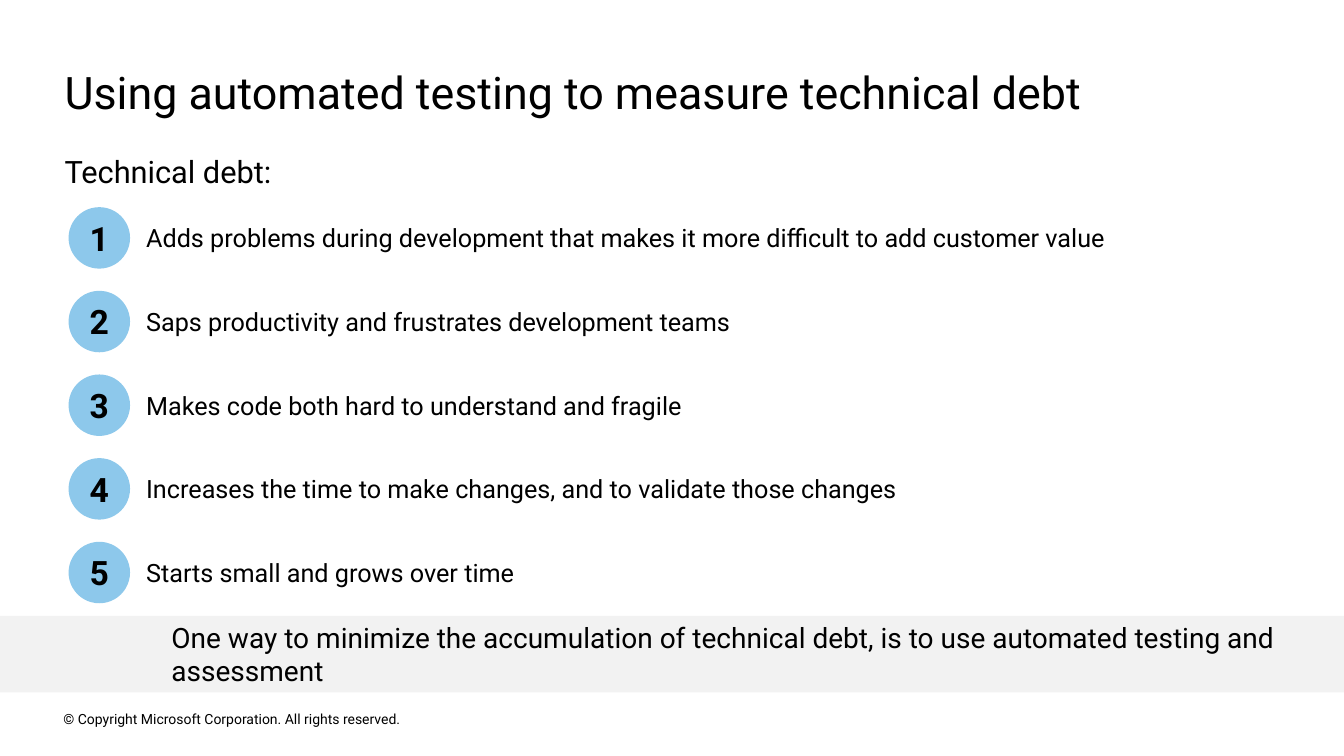
from pptx import Presentation
from pptx.dml.color import RGBColor
from pptx.enum import shapes, text
from pptx.util import Inches, Pt

FONT = "Roboto"
COLORS = {"ink": "000000", "band": "F2F2F2", "badge": "8DC8EB"}
EFFECTS = [
    "Adds problems during development that makes it more difficult to add customer value",
    "Saps productivity and frustrates development teams",
    "Makes code both hard to understand and fragile",
    "Increases the time to make changes, and to validate those changes",
    "Starts small and grows over time",
]
FIRST_ROW_CENTER = 2.36
ROW_STEP = 0.83
BADGE_SIZE = 0.61
LABEL_HEIGHT = 0.3


def set_text(s, content, size, anchor, bold=False, align=text.PP_ALIGN.LEFT):
    tf = s.text_frame
    tf.margin_left = tf.margin_top = tf.margin_right = tf.margin_bottom = 0
    tf.word_wrap = True
    tf.vertical_anchor = anchor
    tf.text = content
    p = tf.paragraphs[0]
    p.alignment = align
    r = p.runs[0]
    r.font.name = FONT
    r.font.size = Pt(size)
    r.font.bold = bold
    r.font.color.rgb = RGBColor.from_string(COLORS["ink"])


def add_label(slide, content, left, top, width, height, size,
              anchor=text.MSO_ANCHOR.MIDDLE):
    s = slide.shapes.add_textbox(
        Inches(left), Inches(top), Inches(width), Inches(height))
    set_text(s, content, size, anchor)


def add_filled(slide, kind, left, top, width, height, color):
    s = slide.shapes.add_shape(
        kind, Inches(left), Inches(top), Inches(width), Inches(height))
    s.shadow.inherit = False
    s.fill.solid()
    s.fill.fore_color.rgb = RGBColor.from_string(COLORS[color])
    s.line.fill.background()
    return s


def add_numbered_row(slide, index, content):
    center = FIRST_ROW_CENTER + index * ROW_STEP
    badge = add_filled(slide, shapes.MSO_SHAPE.OVAL, 0.68,
                       center - BADGE_SIZE / 2, BADGE_SIZE, BADGE_SIZE, "badge")
    set_text(badge, str(index + 1), 24, text.MSO_ANCHOR.MIDDLE,
             bold=True, align=text.PP_ALIGN.CENTER)
    add_label(slide, content, 1.45, center - LABEL_HEIGHT / 2,
              11.24, LABEL_HEIGHT, 18)


def main():
    prs = Presentation()
    prs.slide_width = Inches(13.33)
    prs.slide_height = Inches(7.5)
    slide = prs.slides.add_slide(prs.slide_layouts[6])

    add_label(slide, "Using automated testing to measure technical debt",
              0.64, 0.64, 12.04, 0.54, 32, text.MSO_ANCHOR.TOP)
    add_label(slide, "Technical debt:",
              0.64, 1.52, 12.04, 0.37, 22, text.MSO_ANCHOR.TOP)
    for index, effect in enumerate(EFFECTS):
        add_numbered_row(slide, index, effect)

    add_filled(slide, shapes.MSO_SHAPE.RECTANGLE, 0, 6.11, 13.33, 0.76, "band")
    add_label(slide, "One way to minimize the accumulation of technical debt, "
              "is to use automated testing and assessment",
              1.7, 6.15, 10.98, 0.67, 20)
    add_label(slide, "© Copyright Microsoft Corporation. All rights reserved.",
              0.63, 7.02, 4.54, 0.22, 10)
    prs.save("out.pptx")


if __name__ == "__main__":
    main()
